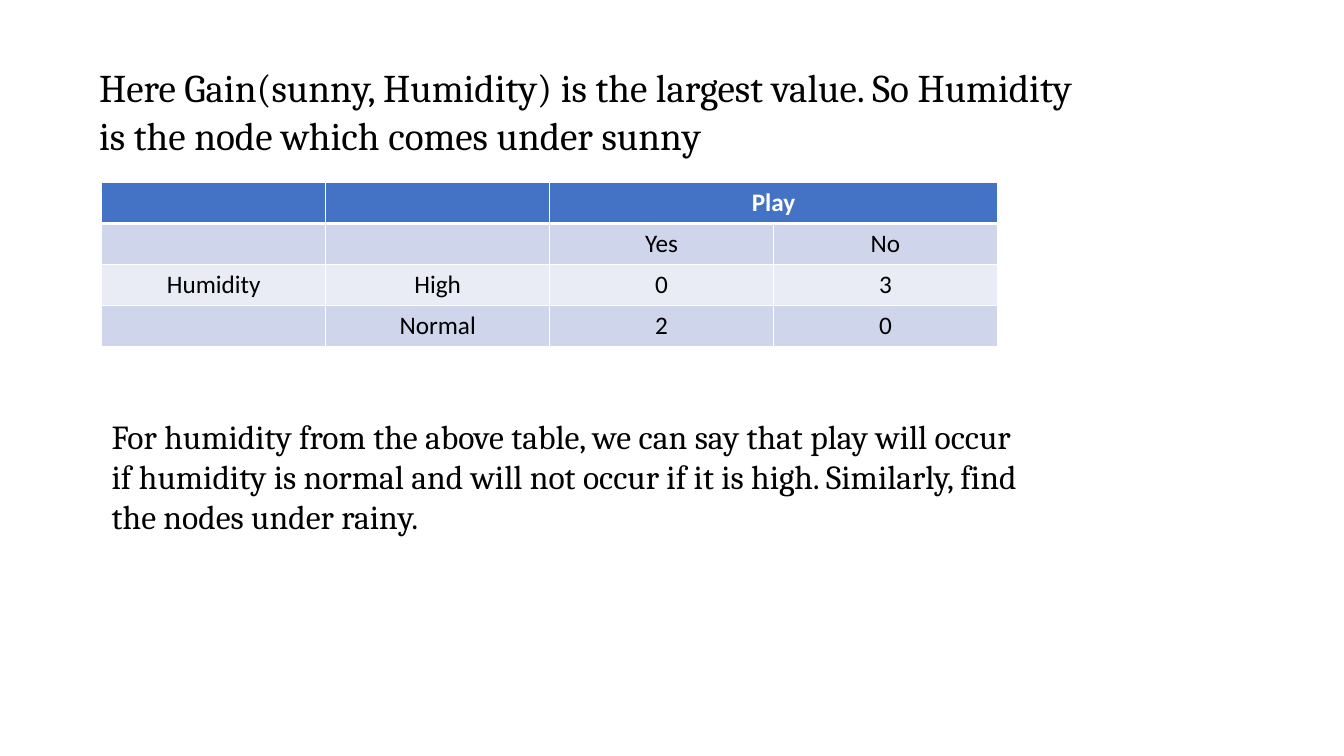
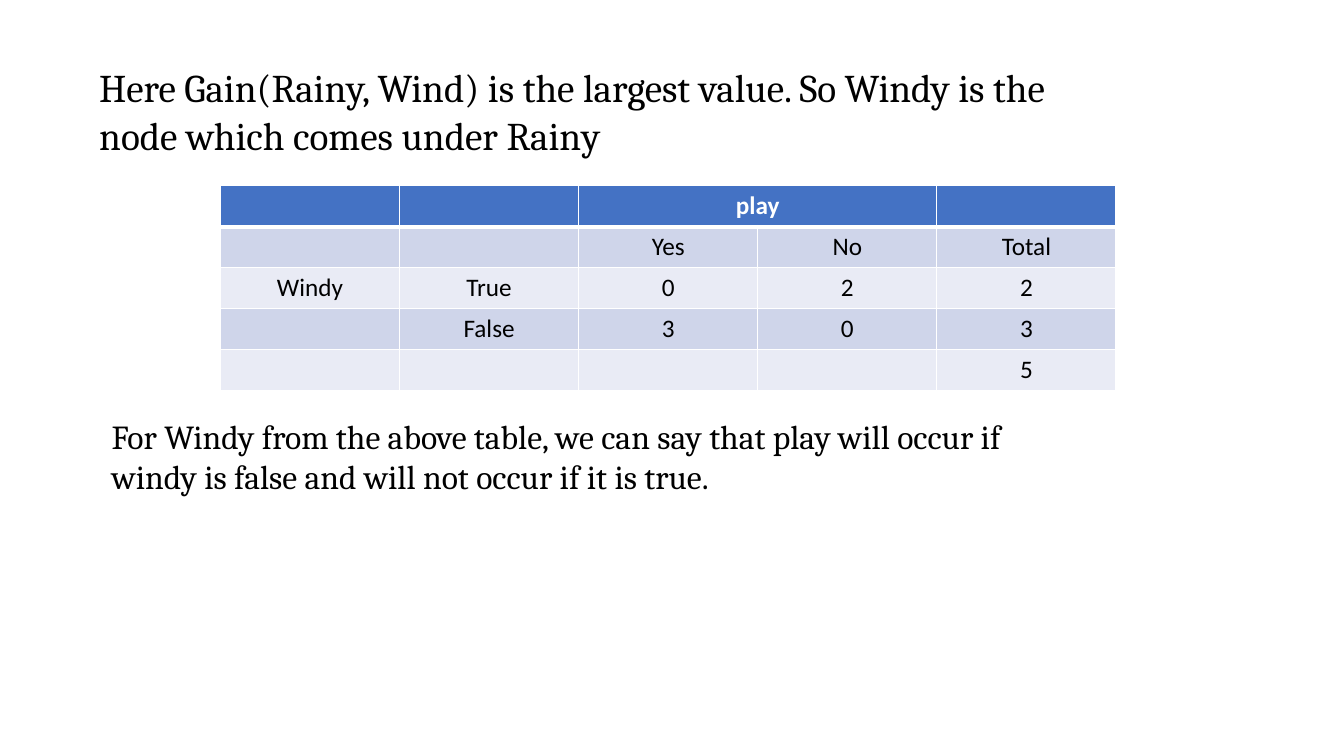
from lxml.etree import SubElement
from pptx import Presentation
from pptx.dml.color import RGBColor
from pptx.enum.text import MSO_AUTO_SIZE, PP_ALIGN
from pptx.oxml.ns import qn
from pptx.util import Emu, Pt

# Colours
BLACK = RGBColor(0x00, 0x00, 0x00)
WHITE = RGBColor(0xFF, 0xFF, 0xFF)
HEADER_BLUE = RGBColor(0x44, 0x72, 0xC4)
BAND_DARK = RGBColor(0xCF, 0xD5, 0xEA)
BAND_LIGHT = RGBColor(0xE9, 0xEB, 0xF5)

EMU_PER_PX = 9525


def px(length):
    return Emu(length * EMU_PER_PX)


class DeckBuilder:
    """Holds the shared style and the current page."""

    text_font = "Cambria"
    table_font = "Calibri"
    row_height = 39
    table_width = 853

    def __init__(self):
        self.deck = Presentation()
        self.deck.slide_width = px(1280)
        self.deck.slide_height = px(720)
        self.page = None

    def new_page(self):
        self.page = self.deck.slides.add_slide(self.deck.slide_layouts[6])

    def add_span(self, para, text, font, size, color, bold=False):
        span = para.add_run()
        span.text = text
        span.font.name = font
        span.font.size = Pt(size)
        span.font.color.rgb = color
        span.font.bold = bold

    def text(self, text, left, top, width, height, size):
        box = self.page.shapes.add_textbox(px(left), px(top), px(width), px(height))
        frame = box.text_frame
        frame.word_wrap = True
        frame.auto_size = MSO_AUTO_SIZE.SHAPE_TO_FIT_TEXT
        self.add_span(frame.paragraphs[0], text, self.text_font, size, BLACK)

    def title(self, text):
        self.text(text, 85, 56, 950, 100, 28)

    def conclusion(self, text, height):
        self.text(text, 97, 391, 898, height, 24)

    def border(self, cell, side, points):
        properties = cell._tc.get_or_add_tcPr()
        line = SubElement(properties, qn(f"a:ln{side}"), w=str(Pt(points)))
        fill = SubElement(line, qn("a:solidFill"))
        SubElement(fill, qn("a:srgbClr"), val=str(WHITE))

    def table(self, rows, left, top):
        """The header row merges its third and fourth cells."""
        frame = self.page.shapes.add_table(
            len(rows), len(rows[0]), px(left), px(top),
            px(self.table_width), px(self.row_height * len(rows)))
        grid = frame.table
        for row_index, row in enumerate(rows):
            is_header = row_index == 0
            band = BAND_DARK if row_index % 2 else BAND_LIGHT
            for column_index, text in enumerate(row):
                cell = grid.cell(row_index, column_index)
                # Borders come before the fill in the cell properties
                for side, points in (("L", 1), ("R", 1),
                                     ("T", 3 if row_index == 1 else 1),
                                     ("B", 3 if is_header else 1)):
                    self.border(cell, side, points)
                cell.fill.solid()
                cell.fill.fore_color.rgb = HEADER_BLUE if is_header else band
                para = cell.text_frame.paragraphs[0]
                para.alignment = PP_ALIGN.CENTER
                if text:
                    self.add_span(para, text, self.table_font, 18,
                                  WHITE if is_header else BLACK, is_header)
        grid.cell(0, 2).merge(grid.cell(0, 3))


def main():
    builder = DeckBuilder()

    # Humidity under sunny
    builder.new_page()
    builder.title("Here Gain(sunny, Humidity) is the largest value. "
                  "So Humidity is the node which comes under sunny")
    builder.table([
        ["", "", "Play", ""],
        ["", "", "Yes", "No"],
        ["Humidity", "High", "0", "3"],
        ["", "Normal", "2", "0"],
    ], left=97, top=174)
    builder.conclusion("For humidity from the above table, we can say that play will occur "
                       "if humidity is normal and will not occur if it is high. "
                       "Similarly, find the nodes under rainy.", height=126)

    # Windy under rainy
    builder.new_page()
    builder.title("Here Gain(Rainy, Wind) is the largest value. "
                  "So Windy is the node which comes under Rainy")
    builder.conclusion("For Windy from the above table, we can say that play will occur "
                       "if windy is false and will not occur if it is true.", height=87)
    builder.table([
        ["", "", "play", "", ""],
        ["", "", "Yes", "No", "Total"],
        ["Windy", "True", "0", "2", "2"],
        ["", "False", "3", "0", "3"],
        ["", "", "", "", "5"],
    ], left=210, top=177)

    builder.deck.save("out.pptx")


if __name__ == "__main__":
    main()
